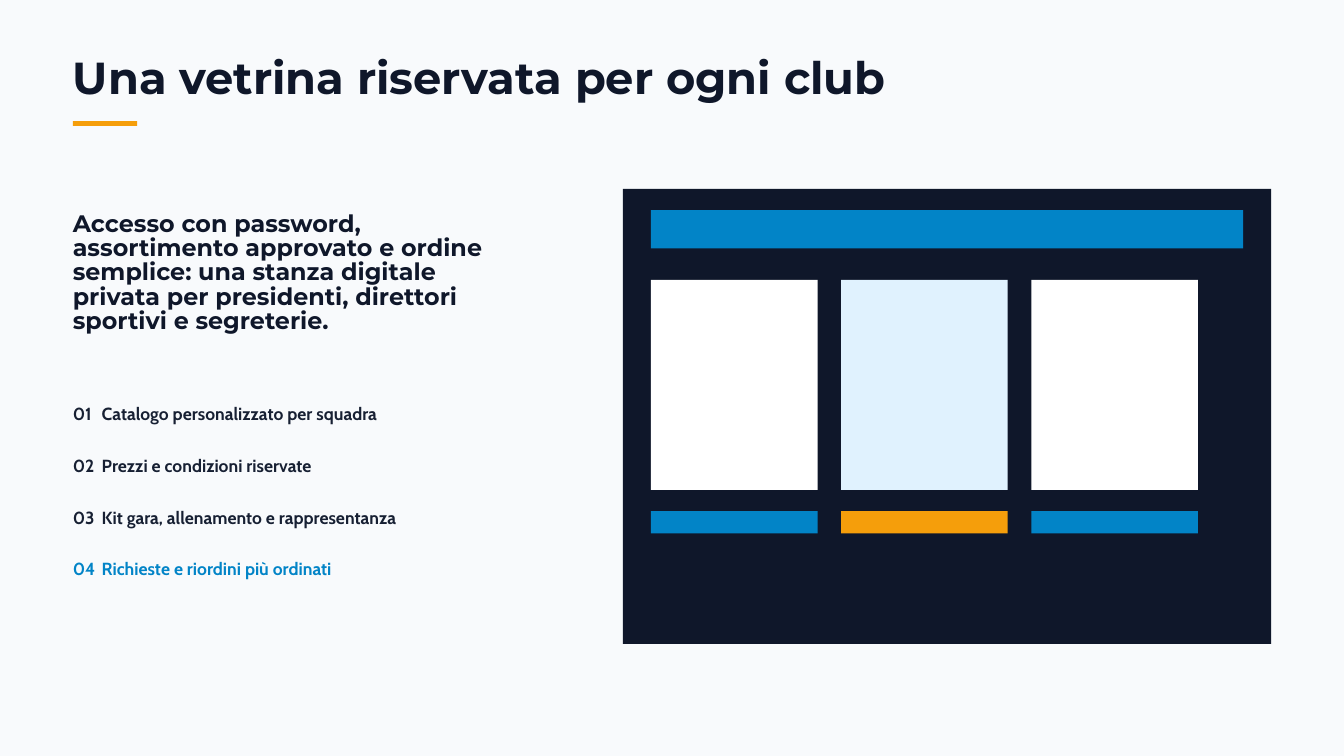
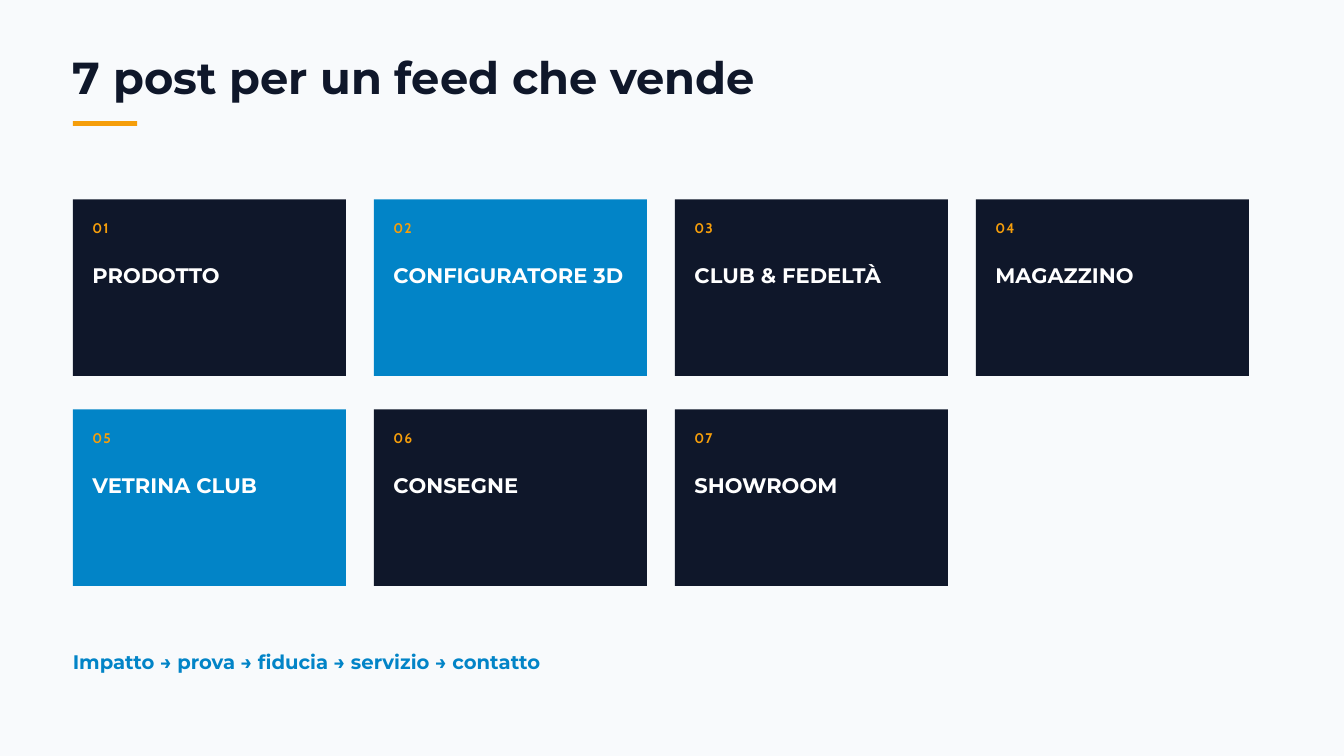
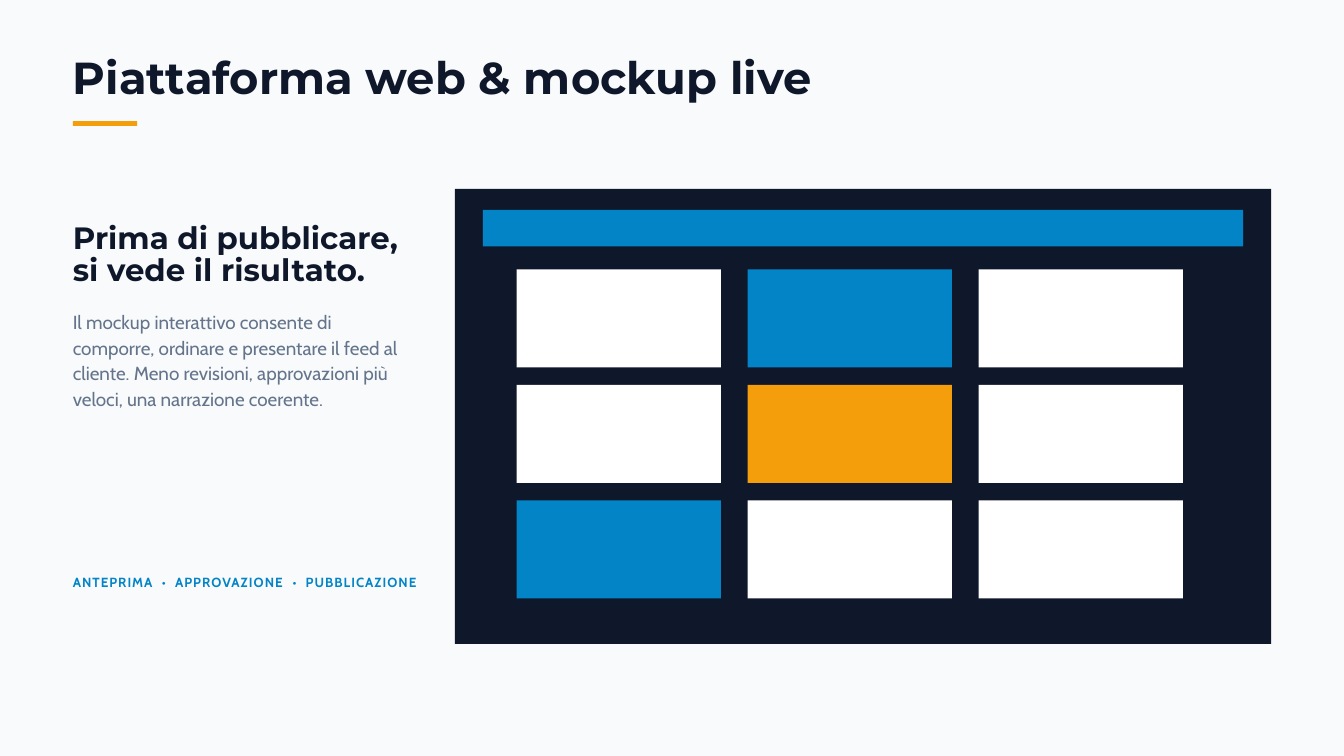
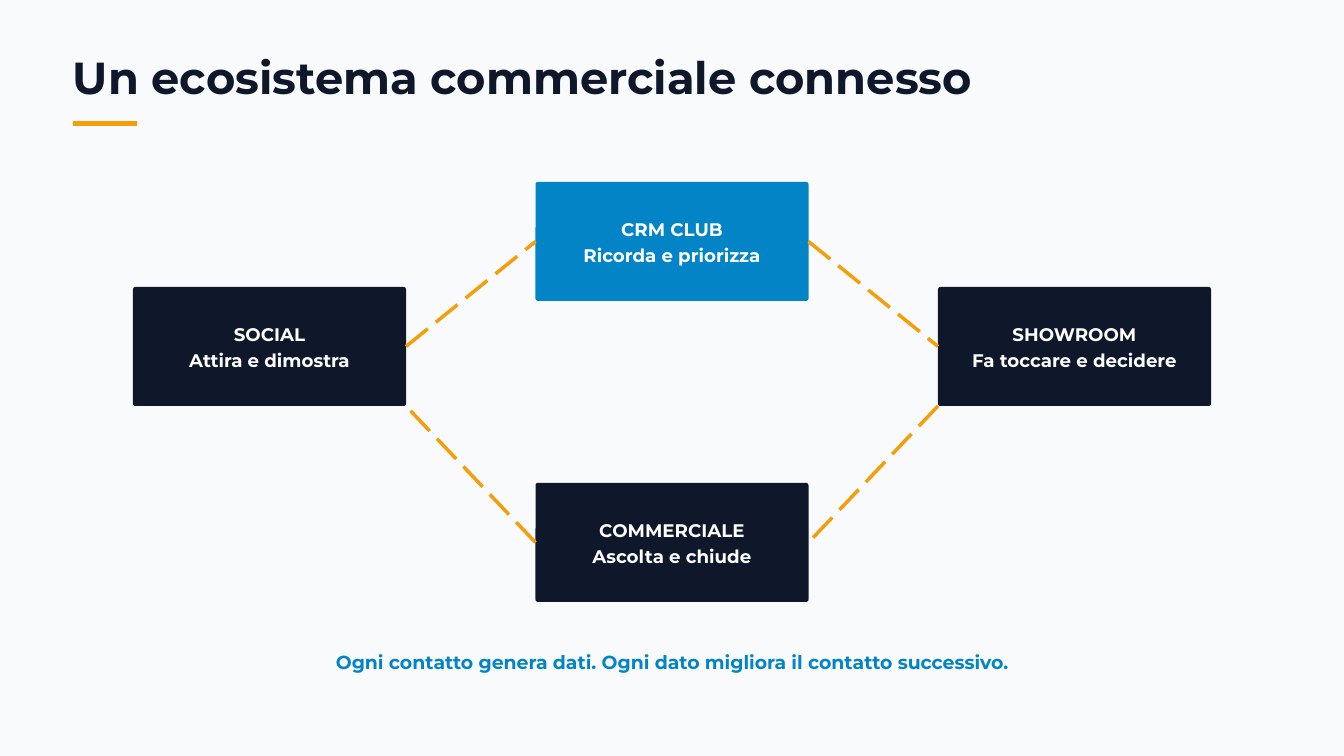
import pptx
import pptx.dml.color
import pptx.enum.dml
import pptx.enum.shapes
import pptx.enum.text
import pptx.oxml.ns
import pptx.util
from lxml import etree

Pt = pptx.util.Pt
Align = pptx.enum.text.PP_ALIGN
Kind = pptx.enum.shapes.MSO_SHAPE

PALE = "F8FAFC"
NAVY = "0F172A"
INK = "172033"
BLUE = "0284C7"
SKY = "E0F2FE"
AMBER = "F59E0B"
SLATE = "64748B"
WHITE = "FFFFFF"
HEAD = "Montserrat"
BODY = "Cabin"

LEFT = 78
RIGHT = 1362
TOP = 202.5
TALL = 487.5


def color(code):
    return pptx.dml.color.RGBColor.from_string(code)


def style(frame, text, size, lead, code, font=HEAD, bold=True, align=Align.LEFT, space=0, tabs=()):
    frame.word_wrap = True
    frame.text = text
    for para in frame.paragraphs:
        if tabs:
            stops = etree.SubElement(para._p.get_or_add_pPr(), pptx.oxml.ns.qn("a:tabLst"))
            for stop in tabs:
                etree.SubElement(stops, pptx.oxml.ns.qn("a:tab"), pos=str(Pt(stop)), algn="l")
        para.alignment = align
        para.line_spacing = Pt(lead)
        for run in para.runs:
            run.font.name = font
            run.font.size = Pt(size)
            run.font.bold = bold
            run.font.color.rgb = color(code)
            if space:
                run._r.get_or_add_rPr().set("spc", str(round(space * 100)))


def label(slide, x, y, w, h, text, size, lead, code, **look):
    frame = slide.shapes.add_textbox(Pt(x), Pt(y), Pt(w), Pt(h)).text_frame
    frame.margin_left = frame.margin_top = frame.margin_right = frame.margin_bottom = 0
    frame.auto_size = pptx.enum.text.MSO_AUTO_SIZE.SHAPE_TO_FIT_TEXT
    style(frame, text, size, lead, code, **look)


def block(slide, x, y, w, h, code, kind=Kind.RECTANGLE):
    shape = slide.shapes.add_shape(kind, Pt(x), Pt(y), Pt(w), Pt(h))
    shape.shadow.inherit = False
    shape.fill.solid()
    shape.fill.fore_color.rgb = color(code)
    shape.line.fill.background()
    return shape


def page(deck, title):
    slide = deck.slides.add_slide(deck.slide_layouts[6])
    slide.background.fill.solid()
    slide.background.fill.fore_color.rgb = color(PALE)
    label(slide, LEFT, 61.5, 1125, 49.5, title, 48, 49, NAVY)
    block(slide, LEFT, 129.75, 69, 5.25, AMBER)
    return slide


def screen(slide, x, bar):
    block(slide, x, TOP, RIGHT - x, TALL, NAVY)
    block(slide, x + 30, TOP + 22.5, RIGHT - x - 60, bar, BLUE)


def node(slide, x, y, text, code):
    shape = block(slide, x, y, 292.5, 127.5, code, Kind.ROUNDED_RECTANGLE)
    shape.adjustments[0] = 0.02
    frame = shape.text_frame
    frame.margin_left = frame.margin_top = frame.margin_right = Pt(4.5)
    frame.margin_bottom = Pt(8)
    frame.vertical_anchor = pptx.enum.text.MSO_ANCHOR.MIDDLE
    style(frame, text, 19.5, 28.3, WHITE, align=Align.CENTER)
    return shape


def corner(shape, right):
    return shape.left + shape.width * right, shape.top + shape.height


def link(slide, start=None, end=None, first=(0, 0), last=(0, 0)):
    line = slide.shapes.add_connector(pptx.enum.shapes.MSO_CONNECTOR.STRAIGHT, *first, *last)
    if start:
        line.begin_connect(*start)
    if end:
        line.end_connect(*end)
    line.line.color.rgb = color(AMBER)
    line.line.width = Pt(3.75)
    line.line.dash_style = pptx.enum.dml.MSO_LINE.LONG_DASH
    etree.SubElement(line._element.spPr, pptx.oxml.ns.qn("a:effectLst"))


def club(deck):
    slide = page(deck, "Una vetrina riservata per ogni club")
    screen(slide, 667.5, 41.25)
    for col, (tile, strip) in enumerate([(WHITE, BLUE), (SKY, AMBER), (WHITE, BLUE)]):
        x = 697.5 + 203.75 * col
        block(slide, x, 300, 178.5, 225, tile)
        block(slide, x, 547.5, 178.5, 24, strip)
    label(slide, LEFT, 228, 487.5, 129,
          "Accesso con password, assortimento approvato e ordine semplice: una stanza digitale "
          "privata per presidenti, direttori sportivi e segreterie.", 25.5, 26, NAVY)
    items = [
        ("Catalogo personalizzato per squadra", INK),
        ("Prezzi e condizioni riservate", INK),
        ("Kit gara, allenamento e rappresentanza", INK),
        ("Richieste e riordini più ordinati", BLUE),
    ]
    for row, (text, code) in enumerate(items):
        label(slide, LEFT, 429 + 55.5 * row, 487.5, 24.75, f"{row + 1:02}\t{text}",
              18.8, 25.3, code, font=BODY, tabs=[31])


def feed(deck):
    slide = page(deck, "7 post per un feed che vende")
    posts = [
        ("PRODOTTO", NAVY),
        ("CONFIGURATORE 3D", BLUE),
        ("CLUB & FEDELTÀ", NAVY),
        ("MAGAZZINO", NAVY),
        ("VETRINA CLUB", BLUE),
        ("CONSEGNE", NAVY),
        ("SHOWROOM", NAVY),
    ]
    for index, (name, code) in enumerate(posts):
        row, col = divmod(index, 4)
        x = LEFT + 322.5 * col
        y = 213.75 + 225 * row
        block(slide, x, y, 292.5, 189, code)
        label(slide, x + 21, y + 19.5, 67.5, 19.5, f"{index + 1:02}", 15, 20.2, AMBER,
              font=BODY, space=1.2)
        label(slide, x + 21, y + 71.25, 250.5, 24.75, name, 22.5, 22.9, WHITE)
    label(slide, LEFT, 700.5, 900, 21.75, "Impatto → prova → fiducia → servizio → contatto",
          21, 21.4, BLUE)


def mockup(deck):
    slide = page(deck, "Piattaforma web & mockup live")
    screen(slide, 487.5, 39)
    tiles = [
        [WHITE, BLUE, WHITE],
        [WHITE, AMBER, WHITE],
        [BLUE, WHITE, WHITE],
    ]
    for row, codes in enumerate(tiles):
        for col, code in enumerate(codes):
            block(slide, 553.5 + 247.5 * col, 288.75 + 123.75 * row, 219, 105, code)
    label(slide, LEFT, 240.75, 352.5, 67.5, "Prima di pubblicare,\nsi vede il risultato.",
          33, 33.7, NAVY)
    label(slide, LEFT, 330, 352.5, 107.25,
          "Il mockup interattivo consente di comporre, ordinare e presentare il feed al cliente. "
          "Meno revisioni, approvazioni più veloci, una narrazione coerente.",
          20.2, 27.3, SLATE, font=BODY, bold=False)
    label(slide, LEFT, 612.75, 375, 18.75, "ANTEPRIMA\t•\tAPPROVAZIONE\t•\tPUBBLICAZIONE",
          14.2, 19.2, BLUE, font=BODY, space=1.1, tabs=[95.5, 109.5, 235.5, 249.5])


def system(deck):
    slide = page(deck, "Un ecosistema commerciale connesso")
    social = node(slide, 142.5, 307.5, "SOCIAL\nAttira e dimostra", NAVY)
    crm = node(slide, 573.75, 195, "CRM CLUB\nRicorda e priorizza", BLUE)
    store = node(slide, 1005, 307.5, "SHOWROOM\nFa toccare e decidere", NAVY)
    sales = node(slide, 573.75, 517.5, "COMMERCIALE\nAscolta e chiude", NAVY)
    link(slide, (social, 3), (crm, 1))
    link(slide, (crm, 3), (store, 1))
    link(slide, end=(sales, 3), first=corner(store, 0))
    link(slide, start=(sales, 1), last=corner(social, 1))
    label(slide, 337.5, 700.5, 765, 21, "Ogni contatto genera dati. Ogni dato migliora il contatto successivo.",
          20.2, 20.6, BLUE, align=Align.CENTER)


def main():
    deck = pptx.Presentation()
    deck.slide_width = Pt(1440)
    deck.slide_height = Pt(810)
    for build in (club, feed, mockup, system):
        build(deck)
    deck.save("out.pptx")


if __name__ == "__main__":
    main()
